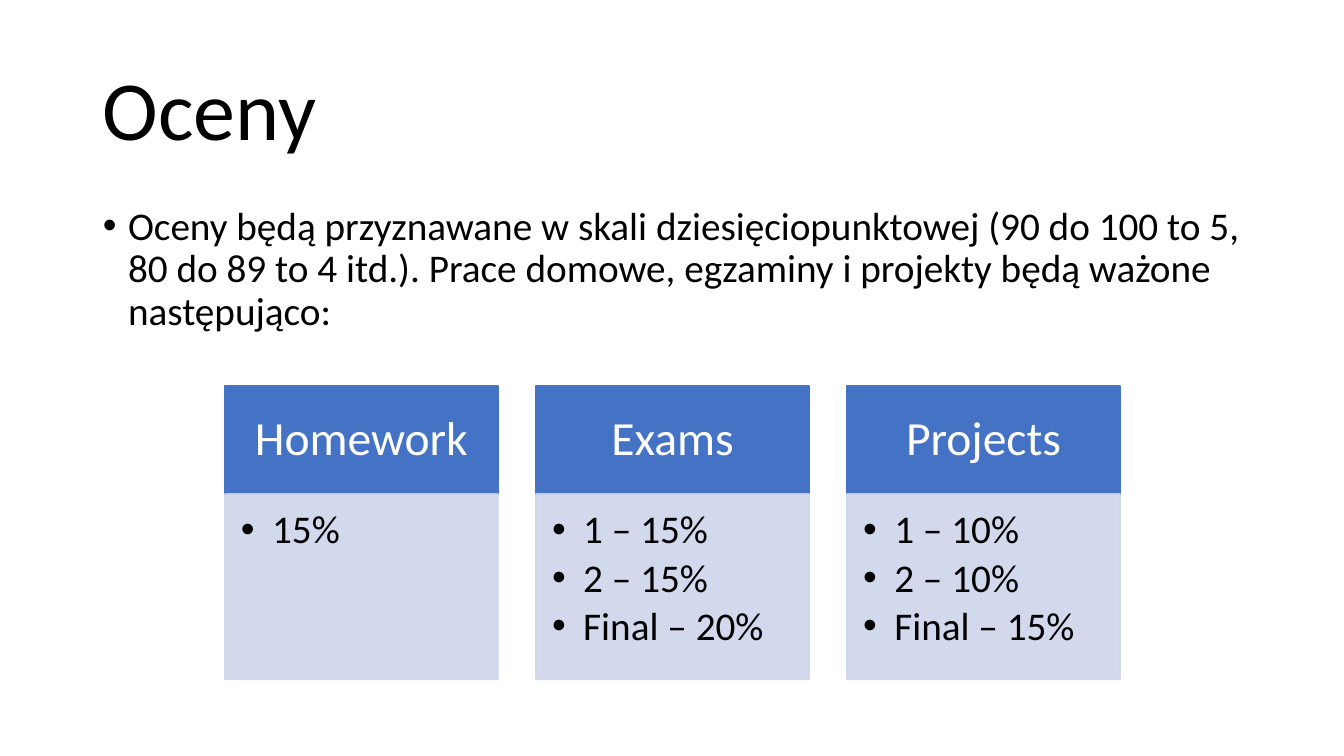
from dataclasses import dataclass

from lxml import etree
from pptx import Presentation
from pptx.dml.color import RGBColor
from pptx.enum import shapes, text
from pptx.oxml.ns import qn
from pptx.util import Inches, Pt

BLACK = RGBColor(0x00, 0x00, 0x00)
WHITE = RGBColor(0xFF, 0xFF, 0xFF)
BLUE = RGBColor(0x44, 0x72, 0xC4)
PALE_BLUE = RGBColor(0xCF, 0xD5, 0xEA)
FONT = "Calibri"

CARDS_LEFT, CARDS_RIGHT = 2.23, 11.11
CARD_WIDTH = 2.71
HEADER_TOP, HEADER_HEIGHT = 3.83, 1.07
LIST_HEIGHT = 1.84


@dataclass
class Card:
    heading: str
    items: list[str]


CARDS = [
    Card("Homework", ["15%"]),
    Card("Exams", ["1 – 15%", "2 – 15%", "Final – 20%"]),
    Card("Projects", ["1 – 10%", "2 – 10%", "Final – 15%"]),
]


def place(shape, left: float, top: float, width: float, height: float) -> None:
    shape.left, shape.top = Inches(left), Inches(top)
    shape.width, shape.height = Inches(width), Inches(height)


def set_margins(frame, left: float, top: float, right: float, bottom: float) -> None:
    frame.margin_left, frame.margin_top = Inches(left), Inches(top)
    frame.margin_right, frame.margin_bottom = Inches(right), Inches(bottom)


def format_paragraph(paragraph, size: int, color: RGBColor, align, after: float = 0) -> None:
    paragraph.alignment = align
    paragraph.line_spacing = 0.9
    paragraph.space_before = Pt(0)
    paragraph.space_after = Pt(after)
    paragraph.font.name = FONT
    paragraph.font.size = Pt(size)
    paragraph.font.color.rgb = color


def add_bullet(paragraph, indent: float) -> None:
    properties = paragraph._p.get_or_add_pPr()
    properties.set("marL", str(Inches(indent)))
    properties.set("indent", str(-Inches(indent)))
    etree.SubElement(properties, qn("a:buFont")).set("typeface", "Arial")
    etree.SubElement(properties, qn("a:buChar")).set("char", "•")


def add_panel(slide, left: float, top: float, height: float, color: RGBColor):
    panel = slide.shapes.add_shape(
        shapes.MSO_SHAPE.RECTANGLE, Inches(left), Inches(top), Inches(CARD_WIDTH), Inches(height))
    panel.shadow.inherit = False
    panel.fill.solid()
    panel.fill.fore_color.rgb = color
    panel.line.color.rgb = color
    panel.line.width = Pt(1)
    panel.text_frame.word_wrap = True
    return panel


def add_card(slide, card: Card, left: float) -> None:
    # Heading
    header = add_panel(slide, left, HEADER_TOP, HEADER_HEIGHT, BLUE)
    frame = header.text_frame
    frame.text = card.heading
    frame.vertical_anchor = text.MSO_ANCHOR.MIDDLE
    set_margins(frame, 0.26, 0.15, 0.26, 0.15)
    format_paragraph(frame.paragraphs[0], 34, WHITE, text.PP_ALIGN.CENTER)

    # Weights on a slightly transparent panel
    panel = add_panel(slide, left, HEADER_TOP + HEADER_HEIGHT, LIST_HEIGHT, PALE_BLUE)
    for color in panel._element.spPr.iter(qn("a:srgbClr")):
        etree.SubElement(color, qn("a:alpha")).set("val", "90000")
    frame = panel.text_frame
    frame.text = "\n".join(card.items)
    frame.vertical_anchor = text.MSO_ANCHOR.TOP
    set_margins(frame, 0.16, 0.16, 0.22, 0.24)
    for paragraph in frame.paragraphs:
        paragraph.level = 1
        add_bullet(paragraph, 0.31)
        format_paragraph(paragraph, 28, BLACK, text.PP_ALIGN.LEFT, after=4.2)


def main() -> None:
    presentation = Presentation()
    presentation.slide_width, presentation.slide_height = Inches(13.33), Inches(7.5)
    slide = presentation.slides.add_slide(presentation.slide_layouts[1])

    # Title
    title = slide.shapes.title
    place(title, 0.92, 0.4, 11.5, 1.45)
    title.text_frame.text = "Oceny"
    title.text_frame.auto_size = text.MSO_AUTO_SIZE.NONE
    title.text_frame.vertical_anchor = text.MSO_ANCHOR.MIDDLE
    format_paragraph(title.text_frame.paragraphs[0], 60, BLACK, text.PP_ALIGN.LEFT)

    # Grading rule
    body = slide.placeholders[1]
    place(body, 0.92, 2, 11.5, 1.45)
    body.text_frame.text = (
        "Oceny będą przyznawane w skali dziesięciopunktowej (90 do 100 to 5, 80 do 89 to 4 itd.). "
        "Prace domowe, egzaminy i projekty będą ważone następująco:")
    body.text_frame.auto_size = text.MSO_AUTO_SIZE.NONE
    rule = body.text_frame.paragraphs[0]
    add_bullet(rule, 0.25)
    format_paragraph(rule, 28, BLACK, text.PP_ALIGN.LEFT)

    # Weight cards, evenly spread
    pitch = (CARDS_RIGHT - CARD_WIDTH - CARDS_LEFT) / (len(CARDS) - 1)
    for index, card in enumerate(CARDS):
        add_card(slide, card, CARDS_LEFT + index * pitch)

    presentation.save("out.pptx")


if __name__ == "__main__":
    main()
